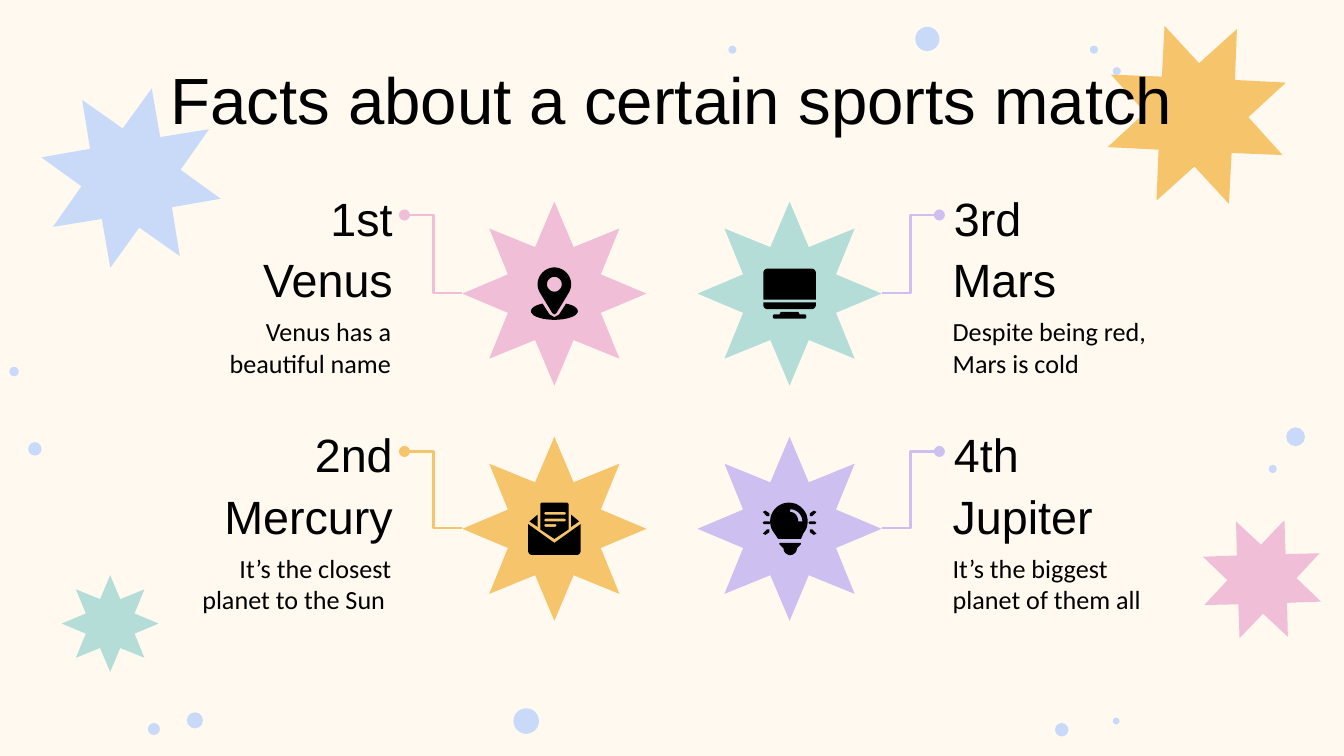
import math
import pptx
import pptx.dml.color
import pptx.enum.shapes
import pptx.enum.text
import pptx.oxml
import pptx.oxml.ns
import pptx.util
from pptx.util import Inches

COLORS = {
    "paper": "FFF9F0", "ink": "000000", "blue": "C9DAF8", "pink": "F0BED6",
    "mint": "B4DDD8", "gold": "F6C46B", "lilac": "CDC0F0",
}
RGB = {k: pptx.dml.color.RGBColor.from_string(v) for k, v in COLORS.items()}
ALIGN = pptx.enum.text.PP_ALIGN
SHAPE = pptx.enum.shapes.MSO_SHAPE

# Widescreen 16:9
prs = pptx.Presentation()
prs.slide_width, prs.slide_height = Inches(10), Inches(10 * 9 / 16)
s = prs.slides.add_slide(prs.slide_layouts[6])
s.background.fill.solid()
s.background.fill.fore_color.rgb = RGB["paper"]


def add_text(text, left, top, width, height, size=25, font="Arial",
             align=ALIGN.LEFT, inset_top=0, inset_right=0.1):
    tf = s.shapes.add_textbox(Inches(left), Inches(top), Inches(width), Inches(height)).text_frame
    tf.word_wrap = True
    tf.margin_left, tf.margin_right = Inches(0.1), Inches(inset_right)
    tf.margin_top, tf.margin_bottom = Inches(inset_top), 0
    p = tf.paragraphs[0]
    p.alignment = align
    r = p.add_run()
    r.text = text
    r.font.name, r.font.size = font, pptx.util.Pt(size)
    r.font.color.rgb = RGB["ink"]


def arc(cx, cy, rx, ry, start, end):
    """Points along an ellipse, clockwise from start to end in degrees."""
    n = max(4, round(abs(end - start) / 10))
    angles = [math.radians(start + (end - start) * i / n) for i in range(n + 1)]
    return [(cx + rx * math.cos(a), cy + ry * math.sin(a)) for a in angles]


# Cards: column, row, rank, planet, fact, star colour, connector colour
cards = [
    (0, 0, "1st", "Venus", "Venus has a beautiful name", "pink", "pink"),
    (0, 1, "2nd", "Mercury", "It’s the closest planet to the Sun ", "gold", "gold"),
    (1, 0, "3rd", "Mars", "Despite being red, Mars is cold", "mint", "lilac"),
    (1, 1, "4th", "Jupiter", "It’s the biggest planet of them all", "lilac", "lilac"),
]

# Stars: left, top, size, rotation, colour
stars = [
    (0.29, 0.64, 1.37, 13, "blue"), (8.92, 3.84, 0.94, 20.8, "pink"),
    (0.46, 4.28, 0.72, 0, "mint"), (8.2, 0.15, 1.41, 340.1, "gold"),
]
stars += [(3.44 + 1.75 * col, 1.5 + 1.75 * row, 1.37, 0, color)
          for col, row, _, _, _, color, _ in cards]

# Dots: left, top, size
dots = [
    (6.81, 0.2, 0.18), (0.07, 2.73, 0.07), (1.39, 5.3, 0.12), (1.1, 5.38, 0.09),
    (8.11, 0.34, 0.06), (5.42, 0.34, 0.06), (3.82, 5.27, 0.19), (8.28, 5.34, 0.05),
    (7.85, 5.38, 0.1), (9.57, 3.18, 0.14), (9.44, 3.46, 0.06), (8.28, 0.5, 0.06),
    (0.21, 3.29, 0.1),
]
presets = [(SHAPE.STAR_8_POINT, *star) for star in stars]
presets += [(SHAPE.OVAL, *dot, 0, "blue") for dot in dots]
for kind, left, top, size, rotation, color in presets:
    sp = s.shapes.add_shape(kind, Inches(left), Inches(top), Inches(size), Inches(size))
    if kind == SHAPE.STAR_8_POINT:
        sp.adjustments[0] = 0.273
    sp.rotation = rotation
    sp.shadow.inherit = False
    sp.fill.solid()
    sp.fill.fore_color.rgb = RGB[color]
    sp.line.fill.background()

# Title
add_text("Facts about a certain sports match", 0.87, 0.34, 8.26, 0.62, size=35,
         align=ALIGN.CENTER, inset_top=0.1)

# Card texts and connectors
for col, row, rank, planet, fact, _, color in cards:
    dy = 1.76 * row
    fmt = {"align": ALIGN.LEFT if col else ALIGN.RIGHT, "inset_right": 0 if col else 0.1}
    add_text(rank, 7 if col else 2.19, 1.41 + dy, 0.83, 0.39, **fmt)
    add_text(planet, 6.99 if col else 1.44, 1.87 + dy, 1.58, 0.54, **fmt)
    add_text(fact, 6.99 if col else 1.31, 2.35 + dy, 1.7, 0.58,
             size=14, font="Calibri", **fmt)

    star_x, label_x = (6.56, 6.99) if col else (3.44, 3.01)
    cn = s.shapes.add_connector(
        pptx.enum.shapes.MSO_CONNECTOR.ELBOW,
        Inches(star_x), Inches(2.18 + 1.75 * row), Inches(label_x), Inches(1.6 + dy))
    cn.line.color.rgb = RGB[color]
    cn.line.width = pptx.util.Pt(1.5)
    ln = cn.line._get_or_add_ln()
    ln.append(pptx.oxml.parse_xml(
        '<a:tailEnd %s type="oval"/>' % pptx.oxml.ns.nsdecls("a")))
    cn._element.spPr.append(pptx.oxml.parse_xml(
        "<a:effectLst %s/>" % pptx.oxml.ns.nsdecls("a")))

# Icons: each is a list of outlines, each outline a list of contours
pin = [
    [arc(4.125, 2.115, 0.125, 0.125, 145, 395) + [(4.14, 2.33), (4.125, 2.34), (4.11, 2.33)],
     arc(4.125, 2.115, 0.055, 0.055, 0, 360)],
    [arc(4.125, 2.315, 0.175, 0.065, -60, 240) + [(4.09, 2.34), (4.125, 2.36), (4.16, 2.34)]],
]
text_lines = [(4.2, 3.81), (4.2, 3.86), (4.13, 3.9)]
letter = [
    [[(3.93, 3.9), (4.125, 4.04), (4.32, 3.9)]
     + arc(4.29, 4.1, 0.03, 0.03, 0, 90) + arc(3.96, 4.1, 0.03, 0.03, 90, 180)],
    [[(4.25, 3.83), (4.25, 3.92), (4.31, 3.88)]],
    [[(4, 3.83), (3.94, 3.88), (4, 3.92)]],
    [[(4.03, 3.74), (4.22, 3.74), (4.23, 3.75), (4.23, 3.94), (4.125, 4.01),
      (4.02, 3.94), (4.02, 3.75)]]
    + [arc(4.06, y + 0.01, 0.01, 0.01, 90, 270) + arc(x, y + 0.01, 0.01, 0.01, -90, 90)
       for x, y in text_lines],
]
rays = [
    [(0.15, -0.01), (0.19, -0.01), (0.2, 0), (0.19, 0.01), (0.15, 0.01), (0.14, 0)],
    [(0.18, -0.09), (0.2, -0.08), (0.17, -0.05), (0.15, -0.05), (0.15, -0.07)],
    [(0.18, 0.09), (0.2, 0.08), (0.17, 0.05), (0.15, 0.05), (0.15, 0.07)],
]
bulb = [
    [[(5.8, 4.04), (5.96, 4.04), (5.96, 4.05), (5.93, 4.08)]
     + arc(5.88, 4.08, 0.05, 0.05, 0, 180) + [(5.8, 4.05)]],
    [arc(5.87, 3.88, 0.14, 0.14, 140, 400) + [(5.96, 4.01), (5.79, 4.01)],
     arc(5.88, 3.88, 0.09, 0.09, 270, 360) + arc(5.88, 3.88, 0.06, 0.07, 360, 270)],
]
bulb += [[[(5.875 + side * dx, 3.89 + dy) for dx, dy in ray]]
         for side in (-1, 1) for ray in rays]
monitor = [
    [[(5.81, 2.32), (5.94, 2.32), (5.95, 2.34)]
     + arc(5.99, 2.355, 0.01, 0.015, -90, 90) + arc(5.76, 2.355, 0.01, 0.015, 90, 270)
     + [(5.8, 2.34)]],
    [[(5.68, 2.25), (6.07, 2.25)]
     + arc(6.04, 2.27, 0.03, 0.03, 0, 90) + arc(5.71, 2.27, 0.03, 0.03, 90, 180)],
    [arc(5.71, 2.03, 0.03, 0.03, 180, 270) + arc(6.04, 2.03, 0.03, 0.03, 270, 360)
     + [(6.07, 2.23), (5.68, 2.23)]],
]
for icon in (pin, letter, bulb, monitor):
    group = s.shapes.add_group_shape()
    for contours in icon:
        # The builder rounds to whole units, so draw in thousandths of an inch
        scaled = [[(x * 1000, y * 1000) for x, y in c] for c in contours]
        fb = group.shapes.build_freeform(*scaled[0][0], scale=Inches(1) / 1000)
        fb.add_line_segments(scaled[0][1:])
        for hole in scaled[1:]:
            fb.move_to(*hole[0])
            fb.add_line_segments(hole[1:])
        sp = fb.convert_to_shape()
        sp.shadow.inherit = False
        sp.fill.solid()
        sp.fill.fore_color.rgb = RGB["ink"]
        sp.line.fill.background()

prs.save("out.pptx")
